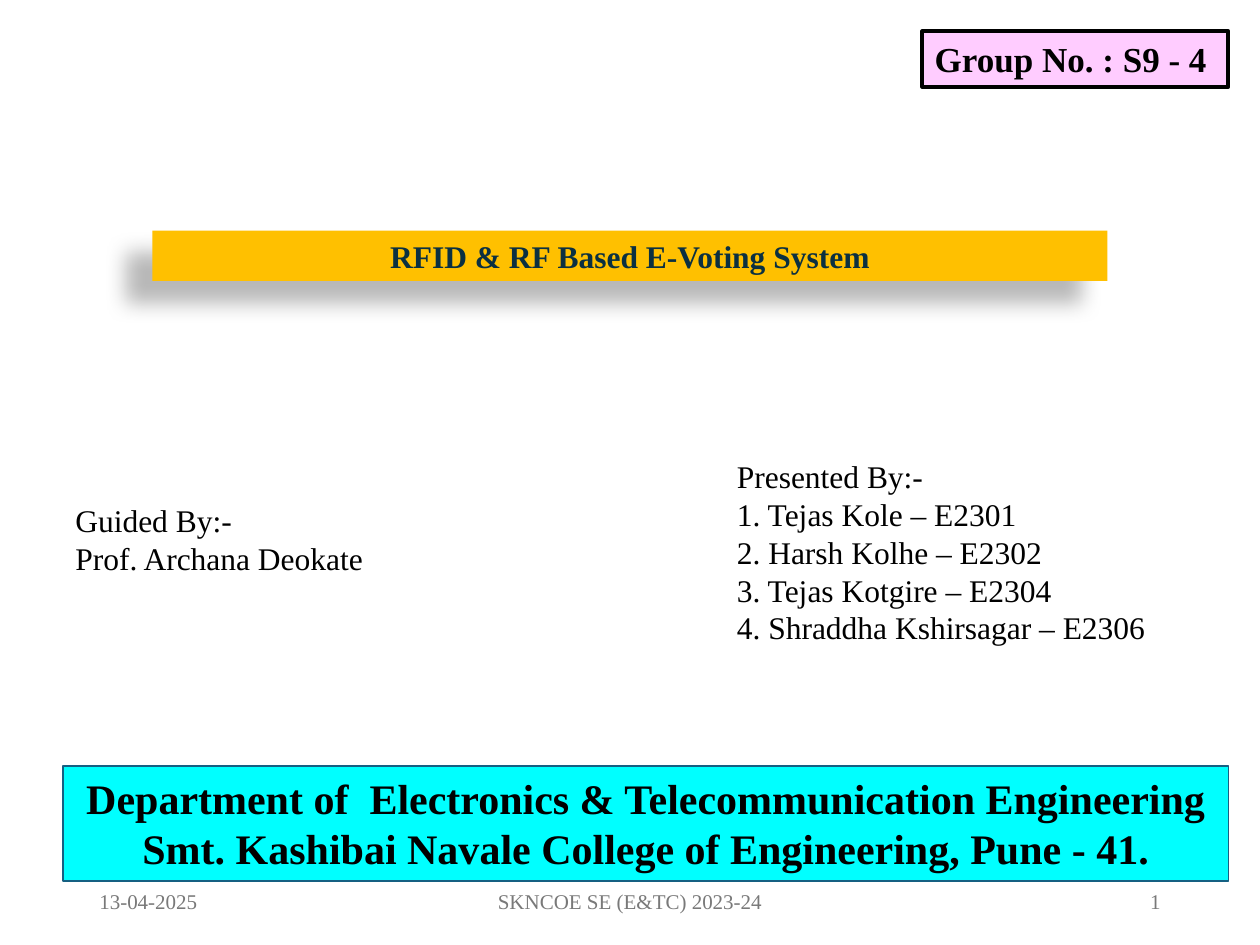
from dataclasses import dataclass
from typing import Any

from lxml import etree
from pptx import Presentation
from pptx import util as u
from pptx.dml.color import RGBColor
from pptx.enum import shapes, text
from pptx.oxml import ns

LEFT, CENTER, RIGHT = text.PP_ALIGN.LEFT, text.PP_ALIGN.CENTER, text.PP_ALIGN.RIGHT


def color(value):
    """Turn a hex string into a colour."""
    return RGBColor.from_string(value)


@dataclass
class TitleSlide:
    """Style and current slide, with a method for each kind of element."""

    slide: Any
    font: str = "Times New Roman"
    ink: str = "000000"
    muted: str = "797979"

    def set_text(self, shape, lines, size, ink, bold=False, align=LEFT):
        """Fill a shape with formatted paragraphs."""
        frame = shape.text_frame
        frame.word_wrap = True
        frame.text = "\n".join(lines)
        for paragraph in frame.paragraphs:
            paragraph.alignment = align
            for run in paragraph.runs:
                run.font.name = self.font
                run.font.size = u.Pt(size)
                run.font.bold = bold
                run.font.color.rgb = color(ink)

    def box(self, place, lines, size, fill="FFFFFF", line=None, ink=None, bold=False, align=LEFT):
        """Add a filled rectangle with text and an optional (colour, width) outline."""
        shape = self.slide.shapes.add_shape(
            shapes.MSO_SHAPE.RECTANGLE, *(u.Inches(length) for length in place))
        shape.shadow.inherit = False
        shape.fill.solid()
        shape.fill.fore_color.rgb = color(fill)
        if line:
            shape.line.color.rgb = color(line[0])
            shape.line.width = u.Pt(line[1])
        else:
            shape.line.fill.background()
        self.set_text(shape, lines, size, ink or self.ink, bold, align)
        shape.text_frame.vertical_anchor = text.MSO_ANCHOR.TOP
        shape.text_frame.auto_size = text.MSO_AUTO_SIZE.SHAPE_TO_FIT_TEXT
        return shape

    def footer(self, left, width, line, align):
        """Add one part of the footer row."""
        shape = self.slide.shapes.add_textbox(
            u.Inches(left), u.Inches(6.95), u.Inches(width), u.Inches(0.4))
        self.set_text(shape, [line], 12, self.muted, align=align)
        shape.text_frame.vertical_anchor = text.MSO_ANCHOR.MIDDLE

    def hang(self, paragraphs, indent):
        """Give paragraphs a hanging indent."""
        for paragraph in paragraphs:
            properties = paragraph._p.get_or_add_pPr()
            properties.set("marL", str(u.Inches(indent)))
            properties.set("indent", str(-u.Inches(indent)))

    def cast_shadow(self, shape, blur, distance, angle, opacity):
        """Add a soft outer shadow, in points, degrees and percent."""
        effects = shape._element.spPr.find(ns.qn("a:effectLst"))
        shadow = etree.SubElement(
            effects, ns.qn("a:outerShdw"), blurRad=str(u.Pt(blur)), dist=str(u.Pt(distance)),
            dir=str(angle * 60000), algn="ctr", rotWithShape="0")
        tint = etree.SubElement(shadow, ns.qn("a:srgbClr"), val=self.ink)
        etree.SubElement(tint, ns.qn("a:alpha"), val=str(opacity * 1000))


def main():
    """Build the project title slide."""
    presentation = Presentation()
    presentation.slide_width, presentation.slide_height = u.Inches(10), u.Inches(7.5)
    page = TitleSlide(presentation.slides.add_slide(presentation.slide_layouts[6]))

    title = page.box((1.21, 1.83, 7.58, 0.4), ["RFID & RF Based E-Voting System"], 18,
                     fill="FFC000", ink="0B3041", bold=True, align=CENTER)
    page.cast_shadow(title, blur=11.8, distance=19.7, angle=141, opacity=28)

    page.box((0.5, 3.93, 3.83, 0.71), ["Guided By:-", "Prof. Archana Deokate"], 18)
    presenters = page.box((5.75, 3.58, 3.83, 1.62), [
        "Presented By:-",
        "1. Tejas Kole – E2301",
        "2. Harsh Kolhe – E2302",
        "3. Tejas Kotgire – E2304",
        "4. Shraddha Kshirsagar – E2306",
    ], 18)
    page.hang(presenters.text_frame.paragraphs[2:], 0.38)

    page.box((0.5, 6.08, 9.25, 0.91), [
        "Department of  Electronics & Telecommunication Engineering",
        "Smt. Kashibai Navale College of Engineering, Pune - 41.",
    ], 24, fill="00FFFF", line=("156082", 1), bold=True, align=CENTER)
    page.box((7.32, 0.25, 2.43, 0.44), ["Group No. : S9 - 4"], 20,
             fill="FFCCFF", line=("000000", 2.25), bold=True)

    page.footer(0.69, 2.25, "13-04-2025", LEFT)
    page.footer(3.31, 3.38, "SKNCOE SE (E&TC) 2023-24", CENTER)
    page.footer(7.06, 2.25, "1", RIGHT)
    presentation.save("out.pptx")


if __name__ == "__main__":
    main()
